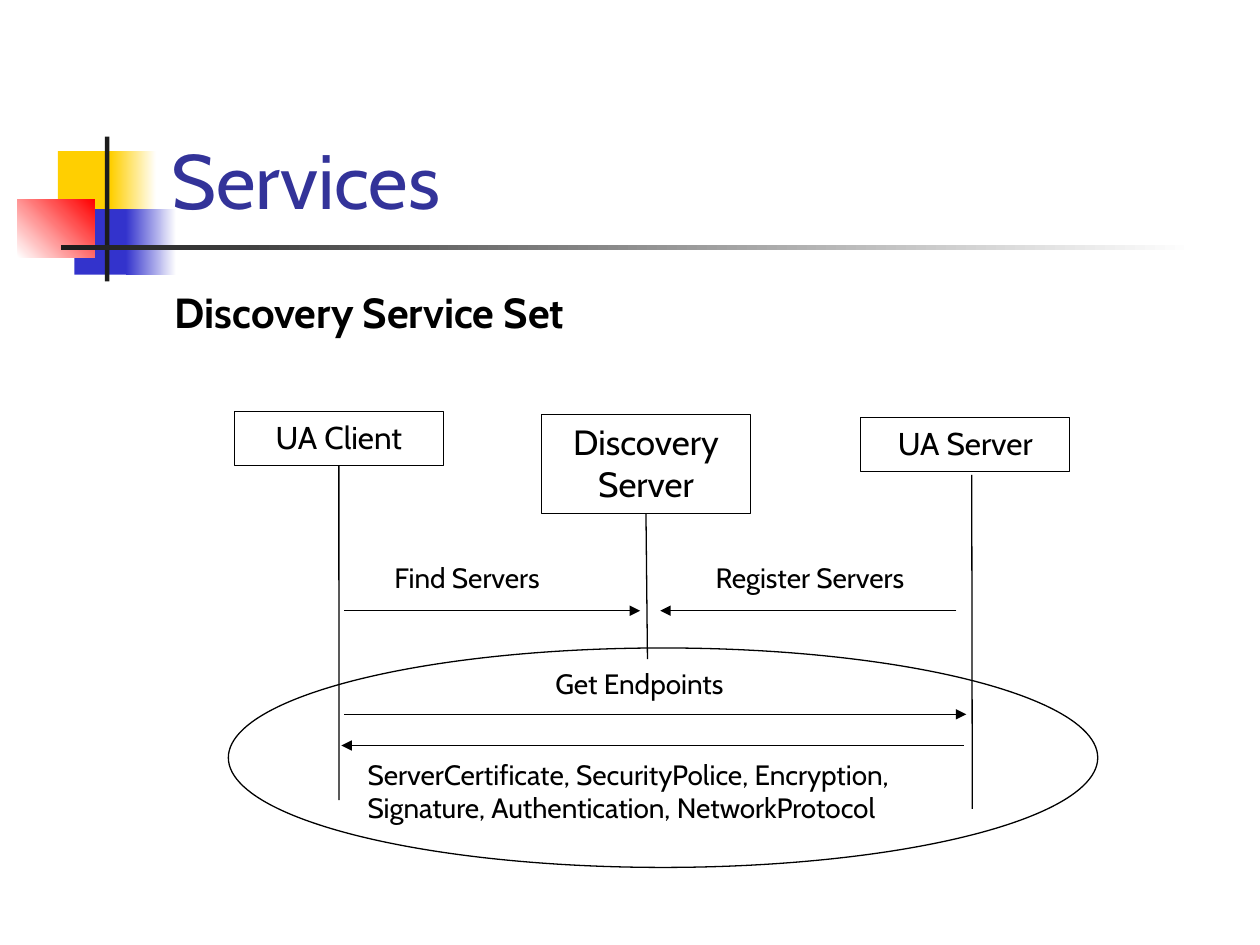
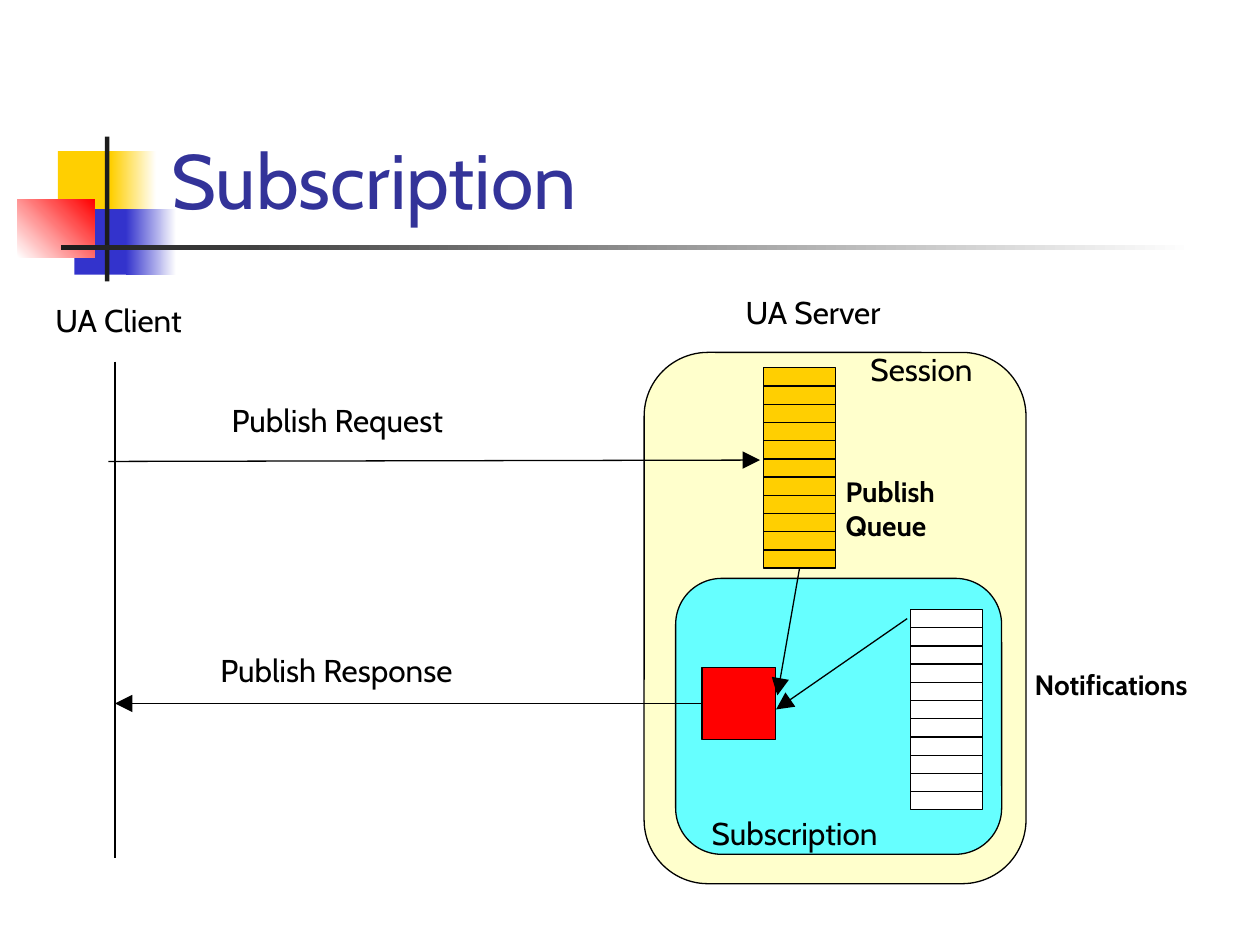
"""Build two slides on discovery services and subscriptions."""
import dataclasses

import lxml.etree
import pptx
import pptx.dml.color
import pptx.enum.shapes
import pptx.enum.text
import pptx.oxml.ns
import pptx.util

Pt = pptx.util.Pt
SHAPES = pptx.enum.shapes.MSO_SHAPE
ALIGN = pptx.enum.text.PP_ALIGN
ANCHOR = pptx.enum.text.MSO_ANCHOR
BOTTOM, LEFT = 2, 1


@dataclasses.dataclass(frozen=True)
class Theme:
    """Colours, font and type sizes of the deck."""
    font: str = "Cabin"
    title_color: str = "333399"
    ink: str = "000000"
    paper: str = "FFFFFF"
    bar: str = "1C1C1C"
    yellow: str = "FFCF01"
    blue: str = "3333CC"
    red: str = "FF0000"
    cream: str = "FFFFCC"
    cyan: str = "66FFFF"
    title_size: float = 44
    heading_size: float = 24
    large_size: float = 20
    label_size: float = 18
    note_size: float = 16
    line_width: float = 0.75


THEME = Theme()


def rgb(value):
    """Turn a hex string into a colour."""
    return pptx.dml.color.RGBColor.from_string(value)


def write_text(frame, text, size, color=THEME.ink, bold=False,
               align=ALIGN.LEFT, anchor=ANCHOR.TOP):
    """Write one paragraph for each line of text."""
    frame.word_wrap = True
    frame.vertical_anchor = anchor
    for index, line in enumerate(text.split("\n")):
        para = frame.add_paragraph() if index else frame.paragraphs[0]
        para.alignment = align
        span = para.add_run()
        span.text = line
        span.font.name = THEME.font
        span.font.size = Pt(size)
        span.font.bold = bold
        span.font.color.rgb = rgb(color)


def add_label(page, text, left, top, width, height=28.8,
              size=THEME.label_size, **style):
    """Add a text box."""
    box = page.shapes.add_textbox(Pt(left), Pt(top), Pt(width), Pt(height))
    write_text(box.text_frame, text, size, **style)
    return box


def add_figure(page, kind, left, top, width, height, fill=None, outlined=True):
    """Add a preset shape with a flat fill or none."""
    shape = page.shapes.add_shape(kind, Pt(left), Pt(top), Pt(width), Pt(height))
    shape.shadow.inherit = False
    if fill:
        shape.fill.solid()
        shape.fill.fore_color.rgb = rgb(fill)
    else:
        shape.fill.background()
    if outlined:
        shape.line.color.rgb = rgb(THEME.ink)
        shape.line.width = Pt(THEME.line_width)
    else:
        shape.line.fill.background()
    return shape


def add_fade(page, left, top, width, height, start, end, angle=0):
    """Add a rectangle that fades from one colour to another."""
    shape = add_figure(page, SHAPES.RECTANGLE, left, top, width, height,
                       outlined=False)
    shape.fill.gradient()
    shape.fill.gradient_angle = angle
    for stop, color in zip(shape.fill.gradient_stops, (start, end)):
        stop.color.rgb = rgb(color)


def add_line(page, start, end, arrow=None, source=None, site=BOTTOM):
    """Add a line, with an optional arrowhead size and source shape."""
    line = page.shapes.add_connector(
        pptx.enum.shapes.MSO_CONNECTOR.STRAIGHT, *map(Pt, start + end))
    line.line.color.rgb = rgb(THEME.ink)
    line.line.width = Pt(THEME.line_width)
    if source is not None:
        line.begin_connect(source, site)
    properties = line._element.spPr
    qn = pptx.oxml.ns.qn
    if arrow:
        lxml.etree.SubElement(properties.find(qn("a:ln")), qn("a:tailEnd"),
                              type="triangle", w=arrow, len=arrow)
    lxml.etree.SubElement(properties, qn("a:effectLst"))


def add_page(deck, title):
    """Add a blank page with the shared ornament and title."""
    page = deck.slides.add_slide(deck.slide_layouts[6])
    rect = SHAPES.RECTANGLE
    add_figure(page, rect, 33.1, 86.4, 34.6, 37.4, THEME.yellow, False)
    add_fade(page, 63.4, 86.4, 25.9, 37.4, THEME.yellow, THEME.paper)
    add_figure(page, rect, 42.5, 119.5, 33.1, 37.4, THEME.blue, False)
    add_fade(page, 72, 119.5, 28.8, 37.4, THEME.blue, THEME.paper)
    add_fade(page, 10.1, 113.8, 43.9, 33.4, THEME.paper, THEME.red, 45)
    add_figure(page, rect, 60, 78, 2.5, 82.8, THEME.bar, False)
    add_fade(page, 34.6, 140.2, 648, 2.5, THEME.bar, THEME.paper)
    add_label(page, title, 90.7, 16.6, 613.4, 115.2, THEME.title_size,
              color=THEME.title_color, anchor=ANCHOR.BOTTOM)
    return page


def add_participant(page, name, left, top, height, size=THEME.label_size):
    """Add a named box of the sequence diagram."""
    box = add_figure(page, SHAPES.RECTANGLE, left, top, 119.5, height,
                     THEME.paper)
    write_text(box.text_frame, name, size, align=ALIGN.CENTER)
    return box


def add_queue(page, left, top, fill, rows=11, width=41.2, height=114.5):
    """Add a stack of equal rows."""
    queue = add_figure(page, SHAPES.RECTANGLE, left, top, width, height, fill)
    for row in range(1, rows):
        level = top + row * height / rows
        add_line(page, (left, level), (left + width, level))
    return queue


def build_services(deck):
    """Build the sequence diagram of the discovery services."""
    page = add_page(deck, "Services")
    add_label(page, "Discovery Service Set", 92.9, 160, 612, 74,
              THEME.heading_size, bold=True)
    client = add_participant(page, "UA Client", 133.9, 235.2, 30.8)
    discovery = add_participant(page, "Discovery Server", 309.4, 236.7, 56.9,
                                THEME.large_size)
    add_participant(page, "UA Server", 491.8, 238.5, 30.8)
    add_line(page, (193.7, 266), (193.7, 457.2), source=client)
    add_line(page, (370, 293.6), (370, 376.6), source=discovery)
    add_line(page, (555.3, 271.4), (555.6, 462.2))
    for start, end, level in ((196.6, 365.8, 349), (546.5, 377.3, 349),
                              (196.6, 552.2, 408.2), (550.8, 195.1, 426)):
        add_line(page, (start, level), (end, level), arrow="med")
    for text, left, top, width in (
            ("Find Servers", 218.2, 316.8, 118),
            ("Register Servers", 401.8, 316.8, 159),
            ("Get Endpoints", 310.3, 377.3, 166),
            ("ServerCertificate, SecurityPolice, Encryption, "
             "Signature, Authentication, NetworkProtocol", 203, 429.1, 348)):
        add_label(page, text, left, top, width, 34.6, THEME.note_size)
    add_figure(page, SHAPES.OVAL, 130.5, 370.3, 496.8, 125.4)


def build_subscription(deck):
    """Build the publish cycle between client and server."""
    page = add_page(deck, "Subscription")
    add_line(page, (65.7, 206.6), (65.7, 490.3))
    session = add_figure(page, SHAPES.ROUNDED_RECTANGLE, 368.1, 201.4, 218.2,
                         303.6, THEME.cream)
    session.adjustments[0] = 0.167
    publish_queue = add_queue(page, 436.3, 210.2, THEME.yellow)
    add_line(page, (61.9, 263.7), (434.3, 262.9), arrow="lg")
    subscription = add_figure(page, SHAPES.ROUNDED_RECTANGLE, 386.1, 330.5,
                              186.3, 157.7, THEME.cyan)
    subscription.adjustments[0] = 0.167
    response = add_figure(page, SHAPES.RECTANGLE, 401.1, 381.4, 42.3, 41.2,
                          THEME.red)
    add_queue(page, 520.4, 348.3, THEME.paper)
    add_line(page, (401, 402), (65.7, 402), "lg", response, LEFT)
    add_line(page, (518.4, 353.5), (443.5, 405.4), "lg")
    add_line(page, (456.9, 324.7), (444.2, 397.4), "lg", publish_queue)
    for text, left, top, width in (
            ("UA Client", 24.5, 168.7, 101.5),
            ("UA Server", 419, 163.9, 101.5),
            ("Session", 490.3, 196.6, 86.4),
            ("Subscription", 399.6, 461.5, 124.6),
            ("Publish Request", 125.3, 225.4, 186.5),
            ("Publish Response", 118.8, 368.6, 186.5)):
        add_label(page, text, left, top, width)
    add_label(page, "Notifications", 584.2, 378, 121, 26.6, THEME.note_size,
              bold=True)
    add_label(page, "Publish\nQueue", 476.2, 267.8, 82, 46, THEME.note_size,
              bold=True)


def main():
    """Build and save the deck."""
    deck = pptx.Presentation()
    deck.slide_width, deck.slide_height = Pt(720), Pt(540)
    build_services(deck)
    build_subscription(deck)
    deck.save("out.pptx")


if __name__ == "__main__":
    main()
